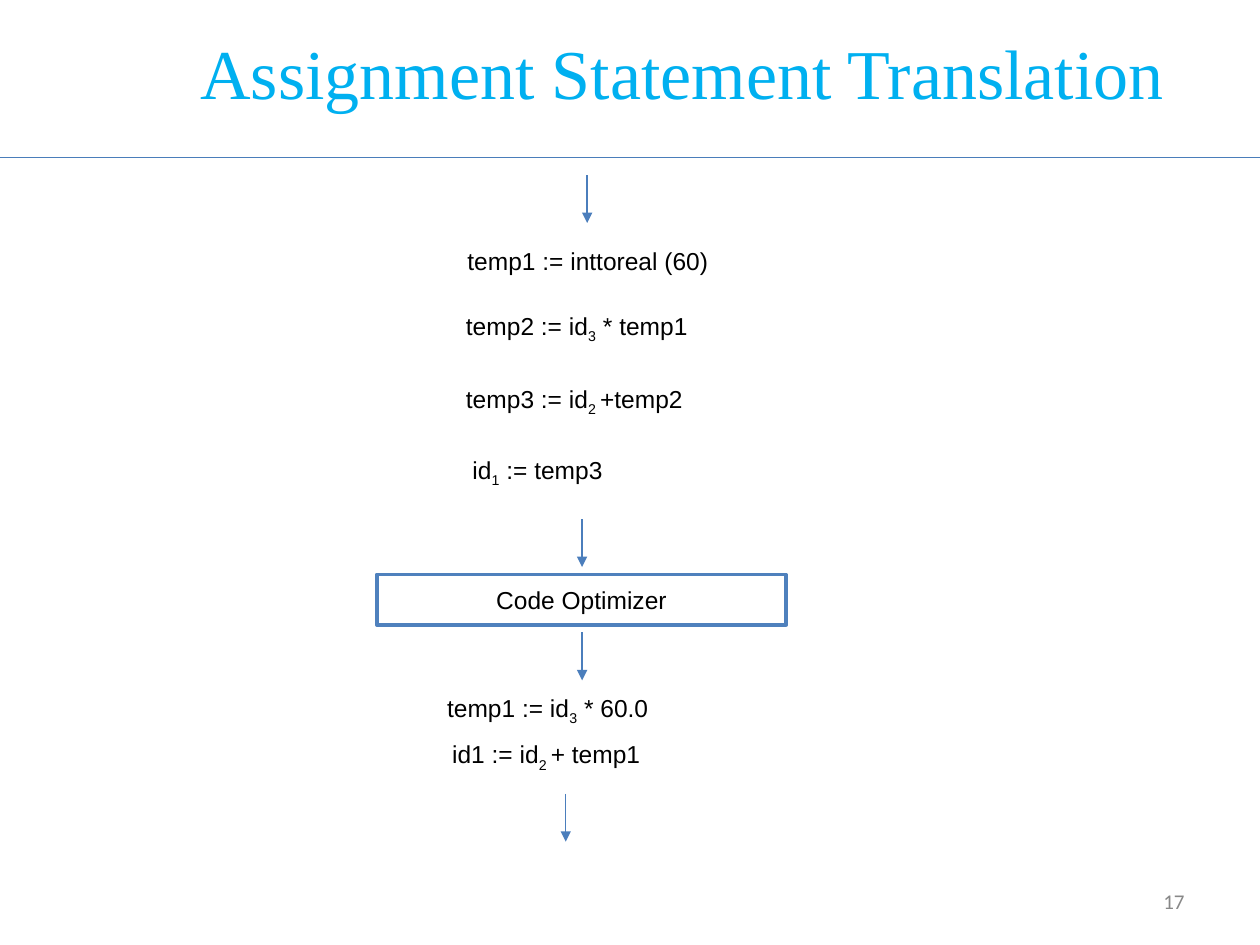
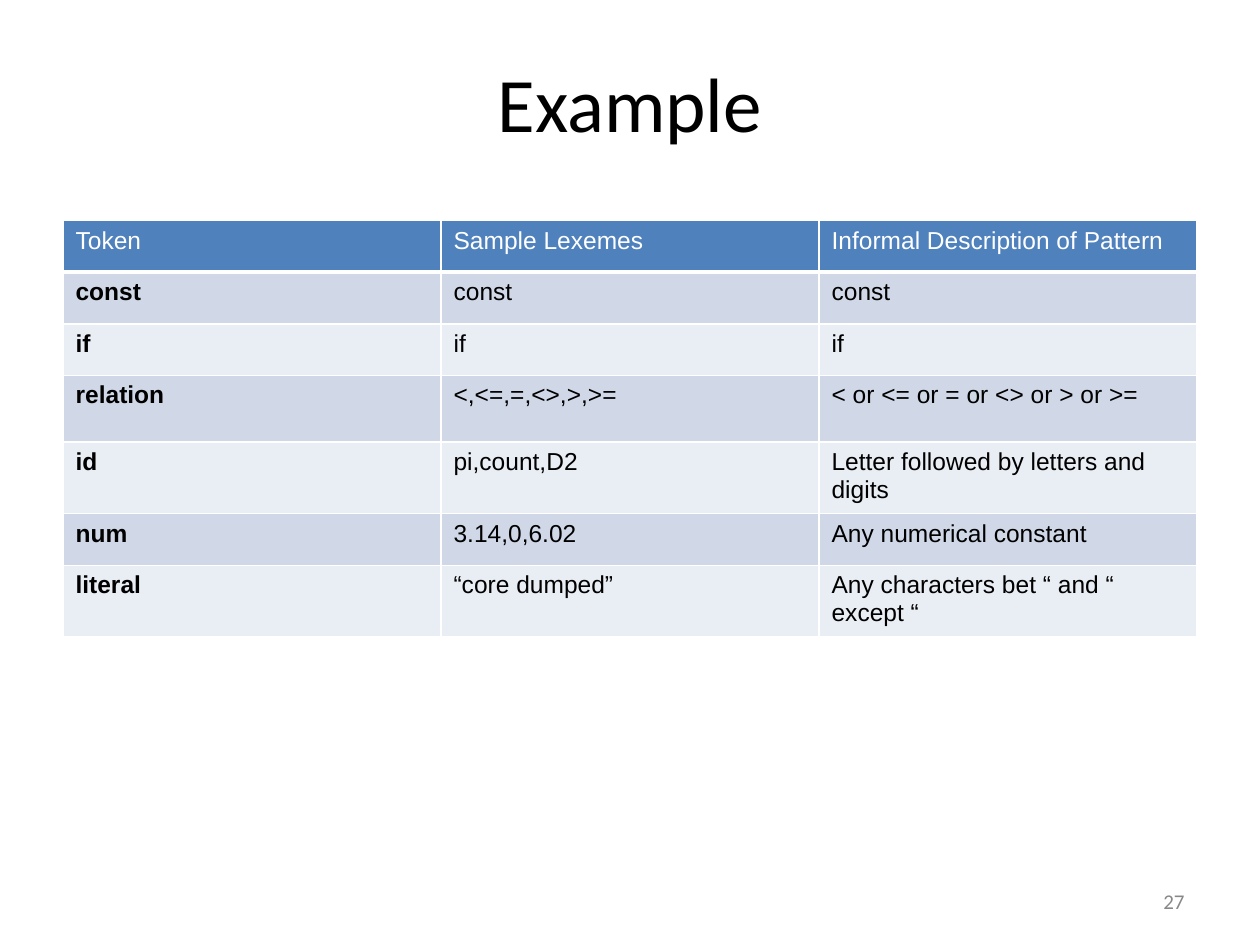
"""Build two compiler-course slides: a translation flow and a token table."""
from dataclasses import dataclass

import pptx
import pptx.dml.color
import pptx.enum.shapes
import pptx.enum.text
import pptx.oxml
import pptx.oxml.ns
import pptx.util
from lxml import etree

Inches = pptx.util.Inches
Align = pptx.enum.text.PP_ALIGN
Anchor = pptx.enum.text.MSO_ANCHOR
TITLE_ONLY = 5


@dataclass(frozen=True)
class TextStyle:
    """Font, size in points, colour and weight of a run."""
    font: str
    size: float
    colour: str
    bold: bool = False


@dataclass(frozen=True)
class Theme:
    """Colours and type styles shared by the deck."""
    white: str = "FFFFFF"
    accent: str = "4F81BD"
    rule: str = "4A7DBA"
    arrow: str = "4B7EBC"
    bands: tuple = ("D0D8E8", "E9EDF4")
    serif_title: TextStyle = TextStyle("Times New Roman", 40, "00B0F0")
    plain_title: TextStyle = TextStyle("Calibri", 44, "000000")
    body: TextStyle = TextStyle("Arial", 14, "000000")
    strong: TextStyle = TextStyle("Arial", 14, "000000", True)
    header: TextStyle = TextStyle("Arial", 14, "FFFFFF")
    number: TextStyle = TextStyle("Calibri", 12, "888888")


THEME = Theme()


@dataclass(frozen=True)
class Box:
    """A rectangle in inches."""
    left: float
    top: float
    width: float
    height: float

    def lengths(self) -> tuple:
        """Return the four sides as lengths."""
        return tuple(Inches(v) for v in (self.left, self.top, self.width, self.height))


@dataclass(frozen=True)
class Statement:
    """One line of code: text before, subscript, text after."""
    box: Box
    before: str
    subscript: str = ""
    after: str = ""
    indent: float = 0


@dataclass(frozen=True)
class Arrow:
    """A downward arrow."""
    x: float
    top: float
    length: float = 0.38


STATEMENTS = (
    Statement(Box(2.53, 1.9, 4.17, 0.57), "temp1 := inttoreal (60)", indent=1.08),
    Statement(Box(3.6, 2.42, 3.1, 0.34), "temp2 := id", "3", " * temp1"),
    Statement(Box(3.6, 3, 2.33, 0.34), "temp3 := id", "2 ", "+temp2"),
    Statement(Box(3.6, 3.56, 2.46, 0.34), "id", "1", " := temp3", indent=0.05),
    Statement(Box(3.45, 5.45, 2.33, 0.34), "temp1 := id", "3", " * 60.0"),
    Statement(Box(3.49, 5.82, 2.01, 0.34), "id1 := id", "2 ", "+ temp1"),
)
ARROWS = (Arrow(4.66, 1.39), Arrow(4.62, 4.12), Arrow(4.62, 5.02), Arrow(4.49, 6.3))

TOKEN_ROWS = (
    ("Token", "Sample Lexemes", "Informal Description of Pattern"),
    ("const", "const", "const"),
    ("if", "if", "if"),
    ("relation", "<,<=,=,<>,>,>=", "< or <= or = or <> or > or >="),
    ("id", "pi,count,D2", "Letter followed by letters and digits"),
    ("num", "3.14,0,6.02", "Any numerical constant"),
    ("literal", "“core dumped”", "Any characters bet “ and “ except “"),
)
ROW_HEIGHT = 0.41
TALL_ROW_HEIGHT = 0.53
TALL_TOKENS = ("relation", "id", "literal")


def rgb(colour: str) -> pptx.dml.color.RGBColor:
    """Turn a hex string into a colour."""
    return pptx.dml.color.RGBColor.from_string(colour)


def add_span(para, text: str, style: TextStyle, baseline: int = 0) -> None:
    """Add one run, shifted off the baseline by a percentage."""
    span = para.add_run()
    span.text = text
    span.font.name = style.font
    span.font.size = pptx.util.Pt(style.size)
    span.font.bold = style.bold
    span.font.color.rgb = rgb(style.colour)
    if baseline:
        span.font._element.set("baseline", str(baseline * 1000))


def add_page(deck, title: str, style: TextStyle, box: Box, number: int, indent: float = 0):
    """Add a page with its title and page number."""
    page = deck.slides.add_slide(deck.slide_layouts[TITLE_ONLY])
    heading = page.shapes.title
    heading.left, heading.top, heading.width, heading.height = box.lengths()
    frame = heading.text_frame
    frame.vertical_anchor = Anchor.MIDDLE
    frame.margin_left = Inches(0.1 + indent)
    frame.paragraphs[0].alignment = Align.CENTER
    add_span(frame.paragraphs[0], title, style)

    footer = page.shapes.add_textbox(*Box(7.17, 6.95, 2.33, 0.4).lengths()).text_frame
    footer.word_wrap = True
    footer.vertical_anchor = Anchor.MIDDLE
    footer.paragraphs[0].alignment = Align.RIGHT
    add_span(footer.paragraphs[0], str(number), THEME.number)
    return page


def add_line(page, start: tuple, end: tuple, colour: str):
    """Draw a thin straight line without shadow."""
    points = [Inches(v) for v in (*start, *end)]
    line = page.shapes.add_connector(pptx.enum.shapes.MSO_CONNECTOR.STRAIGHT, *points)
    line.line.color.rgb = rgb(colour)
    line.line.width = pptx.util.Pt(0.75)
    etree.SubElement(line._element.spPr, pptx.oxml.ns.qn("a:effectLst"))
    return line


def add_arrow(page, arrow: Arrow) -> None:
    """Draw a downward arrow with a triangle head."""
    line = add_line(page, (arrow.x, arrow.top), (arrow.x, arrow.top + arrow.length), THEME.arrow)
    outline = line.line._get_or_add_ln()
    etree.SubElement(outline, pptx.oxml.ns.qn("a:tailEnd"), type="triangle")


def add_statement(page, statement: Statement) -> None:
    """Write one line of code with an optional subscript."""
    frame = page.shapes.add_textbox(*statement.box.lengths()).text_frame
    frame.word_wrap = True
    frame.margin_left = Inches(0.1 + statement.indent)
    para = frame.paragraphs[0]
    spans = ((statement.before, 0), (statement.subscript, -25), (statement.after, 0))
    for text, baseline in spans:
        if text:
            add_span(para, text, THEME.body, baseline)


def add_stage(page, text: str, box: Box) -> None:
    """Draw an outlined compiler stage."""
    stage = page.shapes.add_shape(pptx.enum.shapes.MSO_SHAPE.RECTANGLE, *box.lengths())
    stage.shadow.inherit = False
    stage.fill.solid()
    stage.fill.fore_color.rgb = rgb(THEME.white)
    stage.line.color.rgb = rgb(THEME.accent)
    stage.line.width = pptx.util.Pt(2)
    stage.text_frame.vertical_anchor = Anchor.MIDDLE
    para = stage.text_frame.paragraphs[0]
    para.alignment = Align.CENTER
    add_span(para, text, THEME.body)


def format_cell(cell, text: str, style: TextStyle, fill: str, bottom: float) -> None:
    """Write a cell with white borders and a solid fill."""
    properties = cell._tc.get_or_add_tcPr()
    for side, points in (("L", 1), ("R", 1), ("T", 1), ("B", bottom)):
        border = etree.SubElement(
            properties, pptx.oxml.ns.qn(f"a:ln{side}"), w=str(pptx.util.Pt(points)))
        paint = etree.SubElement(border, pptx.oxml.ns.qn("a:solidFill"))
        etree.SubElement(paint, pptx.oxml.ns.qn("a:srgbClr"), val=THEME.white)
    cell.fill.solid()
    cell.fill.fore_color.rgb = rgb(fill)
    add_span(cell.text_frame.paragraphs[0], text, style)


def add_token_table(page) -> None:
    """Add the table of tokens, lexemes and patterns."""
    heights = [TALL_ROW_HEIGHT if row[0] in TALL_TOKENS else ROW_HEIGHT for row in TOKEN_ROWS]
    box = Box(0.5, 1.75, 9, sum(heights))
    table = page.shapes.add_table(len(TOKEN_ROWS), len(TOKEN_ROWS[0]), *box.lengths()).table
    for r, texts in enumerate(TOKEN_ROWS):
        table.rows[r].height = Inches(heights[r])
        for c, text in enumerate(texts):
            if r == 0:
                style, fill, bottom = THEME.header, THEME.accent, 3
            else:
                style = THEME.strong if c == 0 else THEME.body
                fill, bottom = THEME.bands[(r - 1) % 2], 1
            format_cell(table.cell(r, c), text, style, fill, bottom)


def build_translation_page(deck) -> None:
    """Show intermediate code passing through the optimizer."""
    page = add_page(deck, "Assignment Statement Translation", THEME.serif_title,
                    Box(0.5, 0.3, 9, 0.53), 17, indent=0.83)
    add_line(page, (0, 1.25), (10, 1.25), THEME.rule)
    add_stage(page, "Code Optimizer", Box(2.99, 4.56, 3.25, 0.4))
    for statement in STATEMENTS:
        add_statement(page, statement)
    for arrow in ARROWS:
        add_arrow(page, arrow)


def build_example_page(deck) -> None:
    """Show the token examples."""
    page = add_page(deck, "Example", THEME.plain_title, Box(0.5, 0.18, 9, 1.25), 27)
    add_token_table(page)


def main() -> None:
    """Build and save the deck."""
    deck = pptx.Presentation()
    deck.slide_width, deck.slide_height = Inches(10), Inches(7.5)
    build_translation_page(deck)
    build_example_page(deck)
    deck.save("out.pptx")


main()
